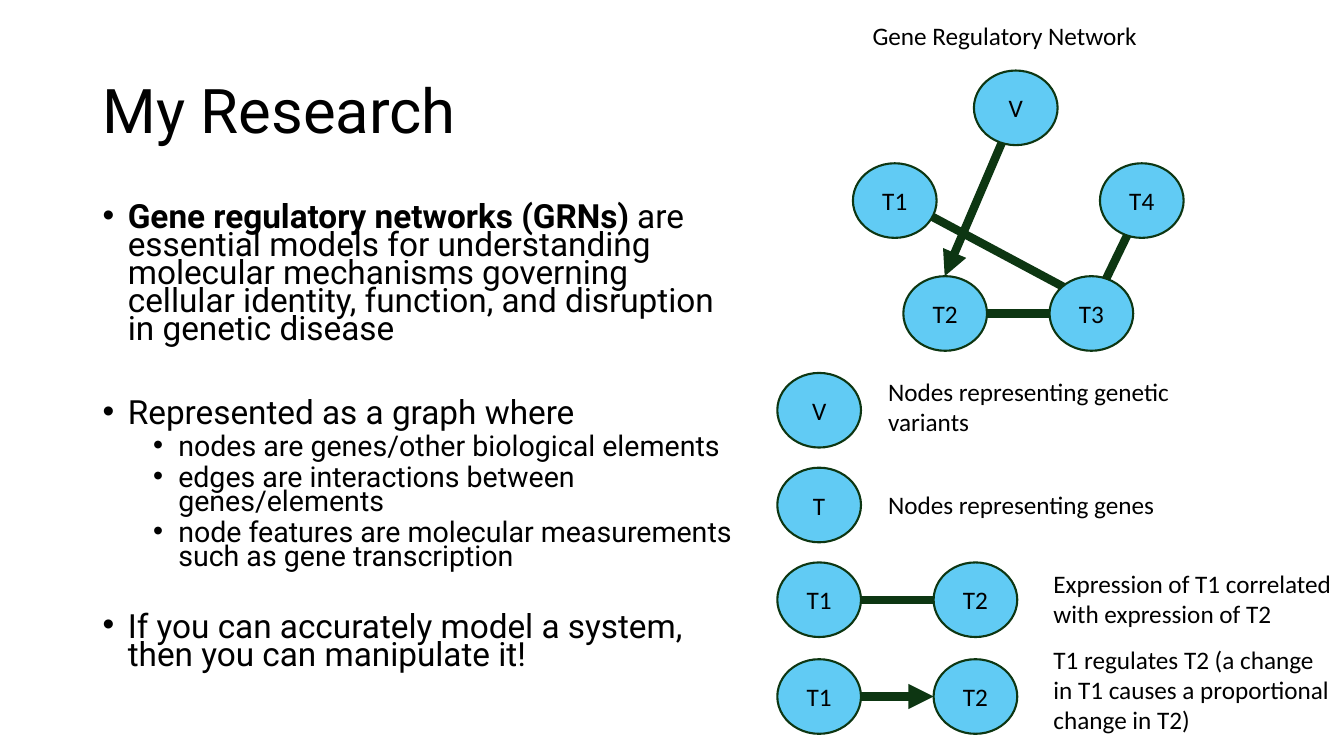
from lxml import etree
from pptx import Presentation
from pptx.dml.color import RGBColor
from pptx.enum.shapes import MSO_CONNECTOR as Connector, MSO_SHAPE as Shape
from pptx.enum.text import MSO_ANCHOR as Anchor, PP_ALIGN as Align
from pptx.oxml.ns import qn
from pptx.util import Emu, Pt

PX = 9144  # 100 px to the inch
BLACK, BLUE, GREEN = "000000", "61CBF4", "0D3612"
NODE_W, NODE_H = 83, 74


def px(length):
    return Emu(round(length * PX))


def color(value):
    return RGBColor.from_string(value)


def set_font(font, size, name):
    font.size, font.name = Pt(size), name
    font.color.rgb = color(BLACK)


def add_box(page, left, top, width, height, anchor=Anchor.TOP):
    frame = page.shapes.add_textbox(px(left), px(top), px(width), px(height)).text_frame
    frame.word_wrap = True
    frame.vertical_anchor = anchor
    return frame


def add_label(page, text, left, top, width, height, align=Align.LEFT):
    para = add_box(page, left, top, width, height).paragraphs[0]
    para.text, para.alignment = text, align
    set_font(para.font, 18, "Calibri")


def add_node(page, name, left, top):
    node = page.shapes.add_shape(Shape.OVAL, px(left), px(top), px(NODE_W), px(NODE_H))
    node.shadow.inherit = False
    node.fill.solid()
    node.fill.fore_color.rgb = color(BLUE)
    node.line.color.rgb = color(GREEN)
    node.line.width = Pt(1.5)
    frame = node.text_frame
    frame.vertical_anchor = Anchor.MIDDLE
    para = frame.paragraphs[0]
    para.text, para.alignment = name, Align.CENTER
    set_font(para.font, 18, "Calibri")


def add_edge(page, start, end, arrow=False):
    edge = page.shapes.add_connector(Connector.STRAIGHT, *map(px, start + end))
    edge.line.color.rgb = color(GREEN)
    edge.line.width = Pt(6)
    if arrow:
        etree.SubElement(edge.line._get_or_add_ln(), qn("a:tailEnd"), type="triangle")
    etree.SubElement(edge._element.spPr, qn("a:effectLst"))


def add_bullet(para, indent):
    props = para._p.get_or_add_pPr()
    props.set("marL", str(px(indent)))
    props.set("indent", str(px(-25)))
    etree.SubElement(props, qn("a:buFont"), typeface="Arial")
    etree.SubElement(props, qn("a:buChar"), char="•")


def draw_title(page, left, top, width, height):
    para = add_box(page, left, top, width, height, Anchor.MIDDLE).paragraphs[0]
    para.text, para.line_spacing = "My Research", 0.9
    set_font(para.font, 44, "Roboto")


def draw_body(page, left, top, width, height):
    # level, space before in points, (text, bold) spans
    points = [
        (0, 0, [("Gene regulatory networks (GRNs) ", True),
                ("are essential models for understanding molecular mechanisms governing "
                 "cellular identity, function, and disruption in genetic disease", False)]),
        (0, 40, [("Represented as a graph where", False)]),
        (1, 5, [("nodes are genes/other biological elements", False)]),
        (1, 5, [("edges are interactions between genes/elements", False)]),
        (1, 5, [("node features are molecular measurements such as gene transcription", False)]),
        (0, 32, [("If you can accurately model a system, then you can manipulate it!", False)]),
    ]
    frame = add_box(page, left, top, width, height)
    for index, (level, before, spans) in enumerate(points):
        para = frame.add_paragraph() if index else frame.paragraphs[0]
        para.level, para.line_spacing, para.space_before = level, 0.7, Pt(before)
        add_bullet(para, 75 if level else 25)
        set_font(para.font, 20.4 if level else 23.8, "Roboto")
        for text, bold in spans:
            span = para.add_run()
            span.text, span.font.bold = text, bold


def draw_network(page, left, top, width):
    # Offsets from the top left corner of the network
    nodes = {"V": (163, 55), "T4": (288, 147), "T3": (238, 259),
             "T2": (93, 259), "T1": (43, 147)}
    edges = [((273, 281), (101, 189), False), ((290, 270), (321, 206), False),
             ((193, 121), (134, 259), True), ((176, 296), (238, 296), False)]
    for (x1, y1), (x2, y2), arrow in edges:
        add_edge(page, (left + x1, top + y1), (left + x2, top + y2), arrow)
    for name, (x, y) in nodes.items():
        add_node(page, name, left + x, top + y)
    add_label(page, "Gene Regulatory Network", left, top, width, 40, Align.CENTER)


def draw_legend(page, left, top):
    # Single nodes: name, node offset, text, text offset, text height
    for name, y, text, text_y, height in [
            ("V", 2, "Nodes representing genetic variants", 0, 72),
            ("T", 96, "Nodes representing genes", 112, 41)]:
        add_node(page, name, left, top + y)
        add_label(page, text, left + 100, top + text_y, 330, height)
    # Node pairs: node offset, arrow, text, text offset, text height
    for y, arrow, text, text_y, height in [
            (190, False, "Expression of T1 correlated with expression of T2", 191, 71),
            (286, True, "T1 regulates T2 (a change in T1 causes a proportional change in T2)",
             266, 101)]:
        middle = top + y + NODE_H / 2
        add_edge(page, (left + NODE_W, middle), (left + 155, middle), arrow)
        add_node(page, "T1", left, top + y)
        add_node(page, "T2", left + 155, top + y)
        add_label(page, text, left + 264, top + text_y, 297, height)


def main():
    deck = Presentation()
    deck.slide_width, deck.slide_height = px(1333), px(750)
    page = deck.slides.add_slide(deck.slide_layouts[6])
    draw_title(page, 92, 40, 1150, 145)
    draw_body(page, 92, 200, 647, 476)
    draw_network(page, 803, 15, 387)
    draw_legend(page, 771, 368)
    deck.save("out.pptx")


if __name__ == "__main__":
    main()
